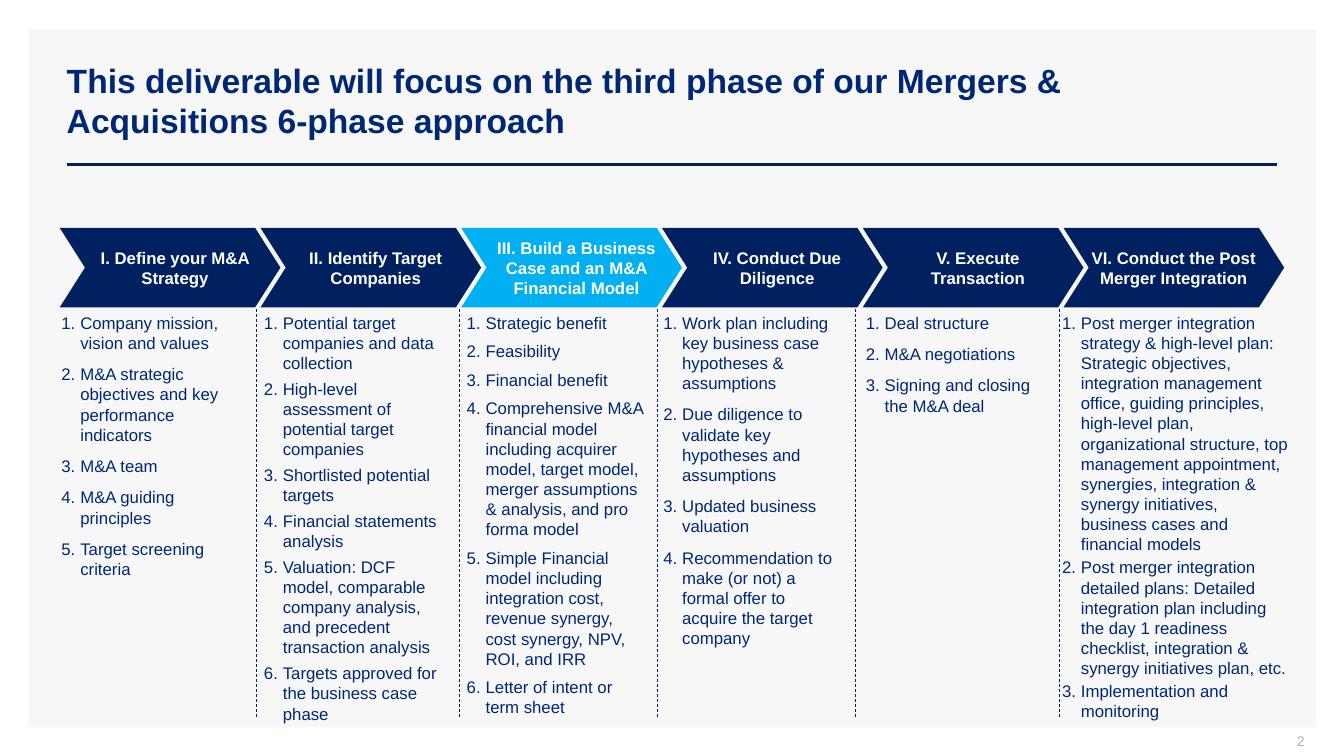
"""Build the slide on the six-phase Mergers & Acquisitions approach."""
import dataclasses

import lxml.etree
import pptx
import pptx.dml.color
import pptx.enum.dml
import pptx.enum.shapes
import pptx.enum.text
import pptx.oxml.ns
import pptx.util

Pt = pptx.util.Pt
qn = pptx.oxml.ns.qn
Align = pptx.enum.text.PP_ALIGN
Anchor = pptx.enum.text.MSO_ANCHOR
Preset = pptx.enum.shapes.MSO_SHAPE


@dataclasses.dataclass(frozen=True)
class Theme:
    font: str = "Arial"
    panel: str = "F7F7F7"
    navy: str = "002060"
    highlight: str = "00B0F0"
    text: str = "002776"
    white: str = "FFFFFF"
    grey: str = "ADAFBB"
    title_size: int = 24
    body_size: int = 12
    number_size: int = 10


@dataclasses.dataclass(frozen=True)
class Phase:
    name: str
    left: float
    width: float
    height: float
    gap: int
    deliverables: tuple
    inset: float = 7.2
    fill: str = Theme.navy


PHASES = (
    Phase("I. Define your M&A Strategy", 43.9, 134.6, 222.5, 8, (
        "Company mission, vision and values",
        "M&A strategic objectives and key performance indicators",
        "M&A team",
        "M&A guiding principles",
        "Target screening criteria",
    )),
    Phase("II. Identify Target Companies", 188.6, 134.6, 303.8, 4, (
        "Potential target companies and data collection",
        "High-level assessment of potential target companies",
        "Shortlisted potential targets",
        "Financial statements analysis",
        "Valuation: DCF model, comparable company analysis, and precedent transaction analysis",
        "Targets approved for the business case phase",
    )),
    Phase("III. Build a Business Case and an M&A Financial Model", 333.4, 134.6, 309.6, 6, (
        "Strategic benefit",
        "Feasibility",
        "Financial benefit",
        "Comprehensive M&A financial model including acquirer model, target model, "
        "merger assumptions & analysis, and pro forma model",
        "Simple Financial model including integration cost, revenue synergy, "
        "cost synergy, NPV, ROI, and IRR",
        "Letter of intent or term sheet",
    ), fill=Theme.highlight),
    Phase("IV. Conduct Due Diligence", 473.8, 134.6, 249.8, 8, (
        "Work plan including key business case hypotheses & assumptions",
        "Due diligence to validate key hypotheses and assumptions",
        "Updated business valuation",
        "Recommendation to make (or not) a formal offer to acquire the target company",
    )),
    Phase("V. Execute Transaction", 618.5, 134.6, 81.4, 8, (
        "Deal structure",
        "M&A negotiations",
        "Signing and closing the M&A deal",
    )),
    Phase("VI. Conduct the Post Merger Integration", 758.6, 169, 302.4, 2, (
        "Post merger integration strategy & high-level plan: Strategic objectives, "
        "integration management office, guiding principles, high-level plan, "
        "organizational structure, top management appointment, synergies, "
        "integration & synergy initiatives, business cases and financial models",
        "Post merger integration detailed plans: Detailed integration plan including "
        "the day 1 readiness checklist, integration & synergy initiatives plan, etc.",
        "Implementation and monitoring",
    ), inset=0),
)
DIVIDERS = (182.9, 328.3, 469.4, 611.3, 756.7)
CHEVRON_LEFT, CHEVRON_STEP = 42.6, 143.4


def rgb(code):
    """Return the colour for a hex code."""
    return pptx.dml.color.RGBColor.from_string(code)


def add_run(paragraph, words, size, color, bold=False):
    """Append a formatted run to a paragraph."""
    run = paragraph.add_run()
    run.text = words
    run.font.name = Theme.font
    run.font.size = Pt(size)
    run.font.bold = bold
    run.font.color.rgb = rgb(color)


def set_frame(frame, anchor, left=7.2, right=7.2):
    """Set wrapping, anchor and insets of a text frame."""
    frame.word_wrap = True
    frame.vertical_anchor = anchor
    frame.margin_left, frame.margin_right = Pt(left), Pt(right)
    frame.margin_top = frame.margin_bottom = Pt(3.6)


def add_label(slide, box, words, size, color, align=Align.LEFT, bold=False):
    """Add a one-paragraph text box centred vertically."""
    frame = slide.shapes.add_textbox(*map(Pt, box)).text_frame
    set_frame(frame, Anchor.MIDDLE)
    frame.paragraphs[0].alignment = align
    add_run(frame.paragraphs[0], words, size, color, bold)


def add_block(slide, preset, box, fill):
    """Add a flat filled shape without outline."""
    block = slide.shapes.add_shape(preset, *map(Pt, box))
    block.shadow.inherit = False
    block.fill.solid()
    block.fill.fore_color.rgb = rgb(fill)
    block.line.fill.background()
    return block


def add_rule(slide, start, end, weight, dash=None):
    """Add a straight navy line."""
    rule = slide.shapes.add_connector(
        pptx.enum.shapes.MSO_CONNECTOR.STRAIGHT, *map(Pt, start + end))
    rule.line.color.rgb = rgb(Theme.navy)
    rule.line.width = Pt(weight)
    rule.line.dash_style = dash
    lxml.etree.SubElement(rule._element.spPr, qn("a:effectLst"))


def add_phase_arrow(slide, index, phase):
    """Add the chevron that names a phase."""
    left = CHEVRON_LEFT + index * CHEVRON_STEP
    arrow = add_block(slide, Preset.CHEVRON, (left, 162.7, 157.7, 56.9), phase.fill)
    arrow.adjustments[0] = 0.318
    set_frame(arrow.text_frame, Anchor.MIDDLE, phase.inset, 0)
    heading = arrow.text_frame.paragraphs[0]
    heading.alignment = Align.CENTER
    add_run(heading, phase.name, Theme.body_size, Theme.white, True)


def add_deliverables(slide, phase):
    """Add the numbered list of a phase."""
    box = (phase.left, 219.6, phase.width, phase.height)
    frame = slide.shapes.add_textbox(*map(Pt, box)).text_frame
    set_frame(frame, Anchor.TOP, 0)
    for index, deliverable in enumerate(phase.deliverables):
        item = frame.add_paragraph() if index else frame.paragraphs[0]
        properties = item._p.get_or_add_pPr()
        properties.set("marL", str(Pt(13.5)))
        properties.set("indent", str(-Pt(13.5)))
        lxml.etree.SubElement(properties, qn("a:buFont"), typeface="+mj-lt")
        lxml.etree.SubElement(properties, qn("a:buAutoNum"), type="arabicPeriod")
        if index:
            item.space_before = Pt(phase.gap)
        add_run(item, deliverable, Theme.body_size, Theme.text)


def main():
    """Build and save the slide."""
    deck = pptx.Presentation()
    deck.slide_width, deck.slide_height = Pt(960), Pt(540)
    slide = deck.slides.add_slide(deck.slide_layouts[6])
    add_block(slide, Preset.RECTANGLE, (20.2, 20.9, 920, 498.6), Theme.panel)
    add_rule(slide, (47.7, 117.4), (912.2, 117.4), 2)
    add_label(slide, (40.6, 28.8, 824.4, 85.7),
              "This deliverable will focus on the third phase of our "
              "Mergers & Acquisitions 6-phase approach",
              Theme.title_size, Theme.text, bold=True)
    add_label(slide, (722.9, 522, 216, 15.1), "2",
              Theme.number_size, Theme.grey, Align.RIGHT)
    for index, phase in enumerate(PHASES):
        add_phase_arrow(slide, index, phase)
        add_deliverables(slide, phase)
    for x in DIVIDERS:
        add_rule(slide, (x, 221), (x, 513.4), 0.5, pptx.enum.dml.MSO_LINE.DASH)
    deck.save("out.pptx")


if __name__ == "__main__":
    main()
